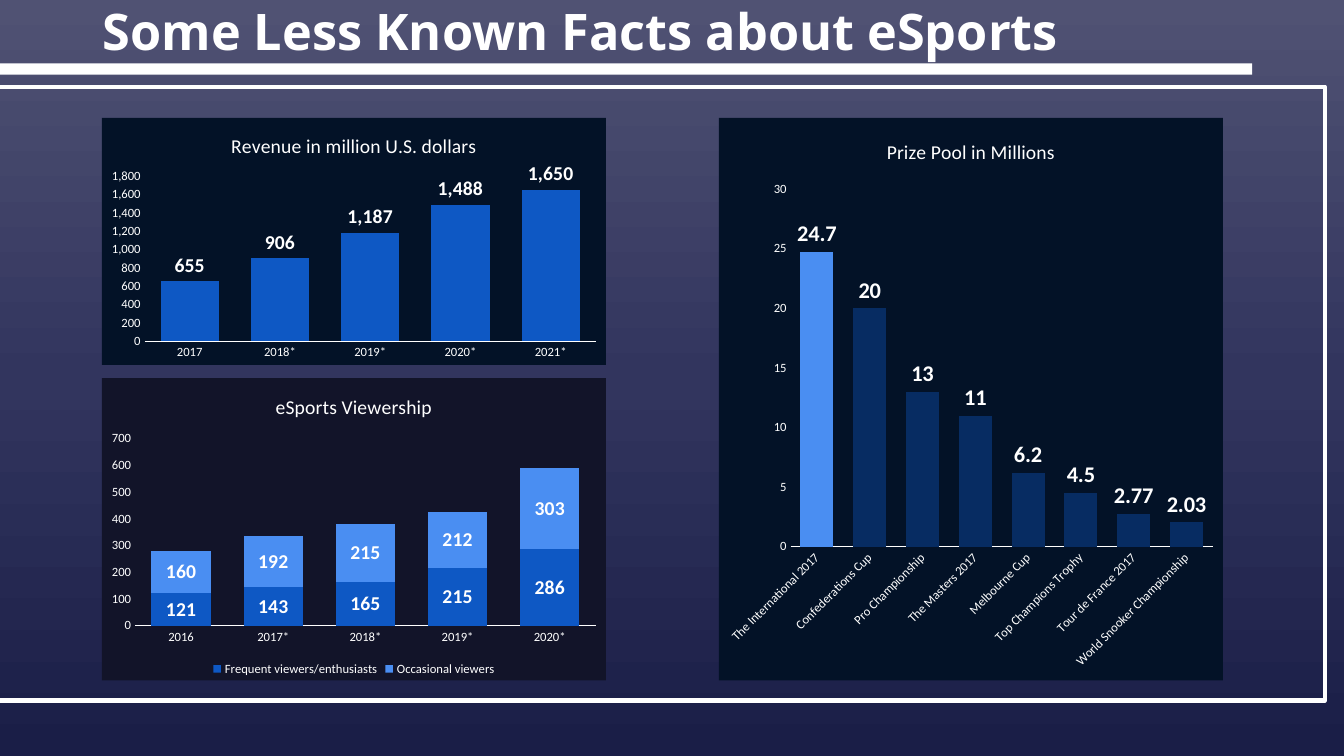
from copy import deepcopy

from lxml import etree
from pptx import Presentation
from pptx.chart.data import CategoryChartData
from pptx.dml.color import RGBColor
from pptx.enum.chart import XL_CHART_TYPE as ChartType
from pptx.enum.chart import XL_LABEL_POSITION as LabelPos
from pptx.enum.chart import XL_LEGEND_POSITION as LegendPos
from pptx.enum.chart import XL_TICK_MARK as TickMark
from pptx.enum.shapes import MSO_SHAPE as Shape
from pptx.enum.text import MSO_ANCHOR as Anchor
from pptx.oxml import parse_xml
from pptx.oxml.ns import nsdecls, qn
from pptx.util import Inches, Pt

WHITE = RGBColor(0xFF, 0xFF, 0xFF)
SKY_TOP = RGBColor(0x50, 0x52, 0x73)
SKY_MIDDLE = RGBColor(0x32, 0x35, 0x5E)
SKY_BOTTOM = RGBColor(0x1A, 0x1E, 0x47)
NAVY = RGBColor(0x03, 0x12, 0x27)
INK = RGBColor(0x12, 0x14, 0x29)
BLUE = RGBColor(0x0E, 0x58, 0xC4)
LIGHT_BLUE = RGBColor(0x4A, 0x8E, 0xF2)
DARK_BLUE = RGBColor(0x07, 0x2C, 0x62)


class Slide:
    heading_font = "Noto Sans"
    chart_font = "Calibri"

    def __init__(self, prs):
        self.s = prs.slides.add_slide(prs.slide_layouts[6])

    def style(self, font, size, name=chart_font, bold=False):
        font.name = name
        font.size = Pt(size)
        font.bold = bold
        font.color.rgb = WHITE

    def background(self, *colors):
        fill = self.s.background.fill
        fill.gradient()
        fill.gradient_angle = 270
        stops = next(self.s.element.iter(qn("a:gsLst")))
        while len(stops) < len(colors):
            stops.append(deepcopy(stops[0]))
        for i, (stop, color) in enumerate(zip(fill.gradient_stops, colors)):
            stop.position = i / (len(colors) - 1)
            stop.color.rgb = color

    def rectangle(self, x, y, w, h, line=None):
        sp = self.s.shapes.add_shape(
            Shape.RECTANGLE, Inches(x), Inches(y), Inches(w), Inches(h))
        sp.shadow.inherit = False
        if line:
            sp.fill.background()
            sp.line.color.rgb = WHITE
            sp.line.width = Pt(line)
        else:
            sp.fill.solid()
            sp.fill.fore_color.rgb = WHITE
            sp.line.fill.background()

    def heading(self, x, y, w, h, text):
        tf = self.s.shapes.add_textbox(
            Inches(x), Inches(y), Inches(w), Inches(h)).text_frame
        tf.word_wrap = True
        tf.vertical_anchor = Anchor.MIDDLE
        p = tf.paragraphs[0]
        p.line_spacing = 0.9
        r = p.add_run()
        r.text = text
        self.style(r.font, 36, self.heading_font, True)

    def axes(self, chart, top, step, fmt, angle):
        for axis in (chart.category_axis, chart.value_axis):
            axis.major_tick_mark = axis.minor_tick_mark = TickMark.NONE
            axis.has_major_gridlines = False
            self.style(axis.tick_labels.font, 9)
        line = chart.category_axis.format.line
        line.color.rgb = WHITE
        line.width = Pt(0.75)
        if angle:
            body = next(chart.category_axis._element.iter(qn("a:bodyPr")))
            body.set("rot", str(angle * 60000))
        values = chart.value_axis
        values.format.line.fill.background()
        values.minimum_scale, values.maximum_scale = 0, top
        values.major_unit = step
        values.tick_labels.number_format = fmt
        values.tick_labels.number_format_is_linked = False

    def column_chart(self, x, y, w, h, title, cats, series, fill, top, step,
                     gap=55, fmt="#,##0", label_size=14, angle=0):
        stacked = len(series) > 1
        kind = ChartType.COLUMN_STACKED if stacked else ChartType.COLUMN_CLUSTERED
        data = CategoryChartData(number_format=fmt)
        data.categories = cats
        for name, values, _ in series:
            data.add_series(name, values)
        chart = self.s.shapes.add_chart(
            kind, Inches(x), Inches(y), Inches(w), Inches(h), data).chart
        self.style(chart.font, 10)
        area = parse_xml(f"<c:spPr {nsdecls('c', 'a')}/>")
        solid = etree.SubElement(area, qn("a:solidFill"))
        etree.SubElement(solid, qn("a:srgbClr"), val=str(fill))
        etree.SubElement(etree.SubElement(area, qn("a:ln")), qn("a:noFill"))
        chart.element.find(qn("c:chart")).addnext(area)

        chart.has_title = True
        chart.chart_title.include_in_layout = False
        r = chart.chart_title.text_frame.paragraphs[0].add_run()
        r.text = title
        self.style(r.font, 14)

        chart.has_legend = stacked
        if stacked:
            chart.legend.position = LegendPos.BOTTOM
            chart.legend.include_in_layout = False
            self.style(chart.legend.font, 9)

        self.axes(chart, top, step, fmt, angle)
        plot = chart.plots[0]
        plot.vary_by_categories = False
        plot.gap_width = gap
        plot.overlap = 100 if stacked else -27
        for columns, (_, _, color) in zip(plot.series, series):
            columns.invert_if_negative = False
            columns.format.fill.solid()
            columns.format.fill.fore_color.rgb = color
            labels = columns.data_labels
            labels.show_value = True
            labels.number_format = fmt
            labels.number_format_is_linked = False
            labels.position = LabelPos.CENTER if stacked else LabelPos.OUTSIDE_END
            self.style(labels.font, label_size, bold=True)
        return chart


def main():
    prs = Presentation()
    prs.slide_width, prs.slide_height = Inches(13.33), Inches(7.5)
    slide = Slide(prs)
    slide.background(SKY_TOP, SKY_MIDDLE, SKY_BOTTOM)
    slide.rectangle(-0.26, 0.63, 12.68, 0.11)
    slide.rectangle(-0.26, 0.86, 13.4, 6.09, line=3)
    slide.heading(0.92, 0.05, 11.5, 0.58, "Some Less Known Facts about eSports")

    revenue = "Revenue in million U.S. dollars"
    slide.column_chart(
        1.01, 1.17, 5, 2.45, revenue,
        ["2017", "2018*", "2019*", "2020*", "2021*"],
        [(revenue, [655, 906, 1187, 1488, 1650], BLUE)],
        NAVY, top=1800, step=200)
    slide.column_chart(
        1.01, 3.75, 5, 3, "eSports Viewership",
        ["2016", "2017*", "2018*", "2019*", "2020*"],
        [("Frequent viewers/enthusiasts", [121, 143, 165, 215, 286], BLUE),
         ("Occasional viewers", [160, 192, 215, 212, 303], LIGHT_BLUE)],
        INK, top=700, step=100)
    prizes = slide.column_chart(
        7.13, 1.17, 5, 5.58, "Prize Pool in Millions",
        ["The International 2017", "Confederations Cup", "Pro Championship",
         "The Masters 2017", "Melbourne Cup", "Top Champions Trophy",
         "Tour de France 2017", "World Snooker Championship"],
        [("Series 1", [24.7, 20, 13, 11, 6.2, 4.5, 2.77, 2.03], DARK_BLUE)],
        NAVY, top=30, step=5, gap=60, fmt="General", label_size=16, angle=-45)
    esports_column = prizes.plots[0].series[0].points[0].format.fill
    esports_column.solid()
    esports_column.fore_color.rgb = LIGHT_BLUE

    prs.save("out.pptx")


if __name__ == "__main__":
    main()
